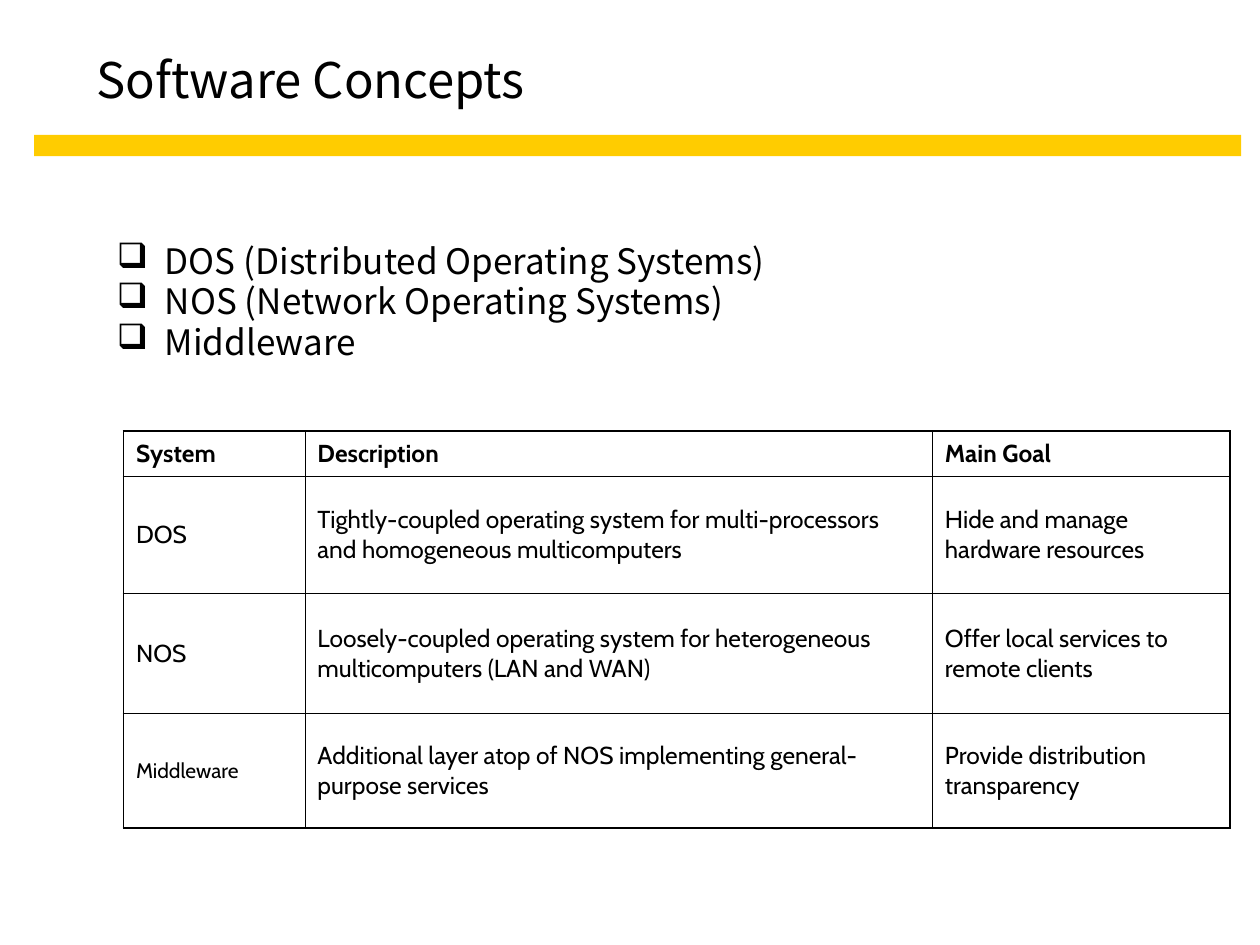
from lxml import etree
from pptx import Presentation
from pptx.dml.color import RGBColor
from pptx.enum.shapes import MSO_SHAPE
from pptx.enum.text import MSO_ANCHOR
from pptx.oxml.ns import qn
from pptx.util import Inches, Pt

RECT = MSO_SHAPE.RECTANGLE
MIDDLE, TOP = MSO_ANCHOR.MIDDLE, MSO_ANCHOR.TOP
COLORS = {"ink": "000000", "bar": "FFCC00", "paper": "FFFFFF"}
SANS, CABIN = "Noto Sans CJK KR", "Cabin"
THIN, THICK = 0.45, 1.08
TOPICS = [
    "DOS (Distributed Operating Systems)",
    "NOS (Network Operating Systems)",
    "Middleware",
]
COLS = [1.44, 4.98, 2.36]
HEIGHTS = [0.36, 0.93, 0.95, 0.91]
ROWS = [
    ["System", "Description", "Main Goal"],
    ["DOS",
     "Tightly-coupled operating system for multi-processors and homogeneous multicomputers",
     "Hide and manage hardware resources"],
    ["NOS",
     "Loosely-coupled operating system for heterogeneous multicomputers (LAN and WAN)",
     "Offer local services to remote clients"],
    ["Middleware",
     "Additional layer atop of NOS implementing general-purpose services",
     "Provide distribution transparency"],
]


def color(name):
    """Return a named color."""
    return RGBColor.from_string(COLORS[name])


def style(para, face, size, bold=False):
    """Format all runs of a paragraph."""
    for run in para.runs:
        font = run.font
        font.name, font.size, font.bold = face, Pt(size), bold
        font.color.rgb = color("ink")
        east = etree.SubElement(run._r.get_or_add_rPr(), qn("a:ea"))
        east.set("typeface", face)


def add_bar(slide):
    """Draw the bar under the title."""
    bar = slide.shapes.add_shape(
        RECT, Inches(0.27), Inches(1.07), Inches(9.58), Inches(0.17))
    bar.shadow.inherit = False
    bar.fill.solid()
    bar.fill.fore_color.rgb = color("bar")
    bar.line.fill.background()


def add_text(slide, box, text, size, anchor):
    """Add a wrapped text box and return its paragraphs."""
    frame = slide.shapes.add_textbox(*map(Inches, box)).text_frame
    frame.word_wrap = True
    frame.vertical_anchor = anchor
    frame.text = text
    for para in frame.paragraphs:
        style(para, SANS, size)
    return frame.paragraphs


def add_bullet(para):
    """Give a paragraph a box bullet and a hanging indent."""
    para.line_spacing = 0.79
    para.space_before = Pt(4)
    props = para._p.get_or_add_pPr()
    props.set("marL", str(Inches(0.38)))
    props.set("indent", str(-Inches(0.38)))
    tint = etree.SubElement(props, qn("a:buClr"))
    etree.SubElement(tint, qn("a:srgbClr")).set("val", COLORS["ink"])
    etree.SubElement(props, qn("a:buChar")).set("char", "❑")


def add_edge(cell, side, width):
    """Draw one border of a cell."""
    line = etree.SubElement(cell._tc.get_or_add_tcPr(), qn("a:ln" + side))
    line.set("w", str(Pt(width)))
    fill = etree.SubElement(line, qn("a:solidFill"))
    etree.SubElement(fill, qn("a:srgbClr")).set("val", COLORS["ink"])


def fill_cell(cell, text, size, bold, edges):
    """Set the text, borders and fill of a cell."""
    cell.text = text
    cell.vertical_anchor = MIDDLE
    para = cell.text_frame.paragraphs[0]
    para.space_before = Pt(size / 4)
    style(para, CABIN, size, bold)
    for side, outer in edges.items():
        add_edge(cell, side, THICK if outer else THIN)
    cell.fill.solid()
    cell.fill.fore_color.rgb = color("paper")


def add_grid(slide):
    """Add the table that compares the systems."""
    grid = slide.shapes.add_table(
        len(ROWS), len(COLS), Inches(0.98), Inches(3.42),
        Inches(sum(COLS)), Inches(sum(HEIGHTS))).table
    for col, width in zip(grid.columns, COLS):
        col.width = Inches(width)
    for row, height in zip(grid.rows, HEIGHTS):
        row.height = Inches(height)
    for r, texts in enumerate(ROWS):
        for c, text in enumerate(texts):
            edges = {"L": c == 0, "R": c == len(COLS) - 1,
                     "T": r == 0, "B": r == len(ROWS) - 1}
            size = 12 if text == "Middleware" else 14
            fill_cell(grid.cell(r, c), text, size, r == 0, edges)


def main():
    """Build and save the slide."""
    deck = Presentation()
    deck.slide_width, deck.slide_height = Inches(10), Inches(7.5)
    slide = deck.slides.add_slide(deck.slide_layouts[6])
    add_bar(slide)
    add_text(slide, (0.67, 0, 8.5, 1.25), "Software Concepts", 28, MIDDLE)
    topics = add_text(
        slide, (0.83, 1.92, 8.83, 1.42), "\n".join(TOPICS), 20, TOP)
    for para in topics:
        add_bullet(para)
    add_grid(slide)
    deck.save("out.pptx")


if __name__ == "__main__":
    main()
